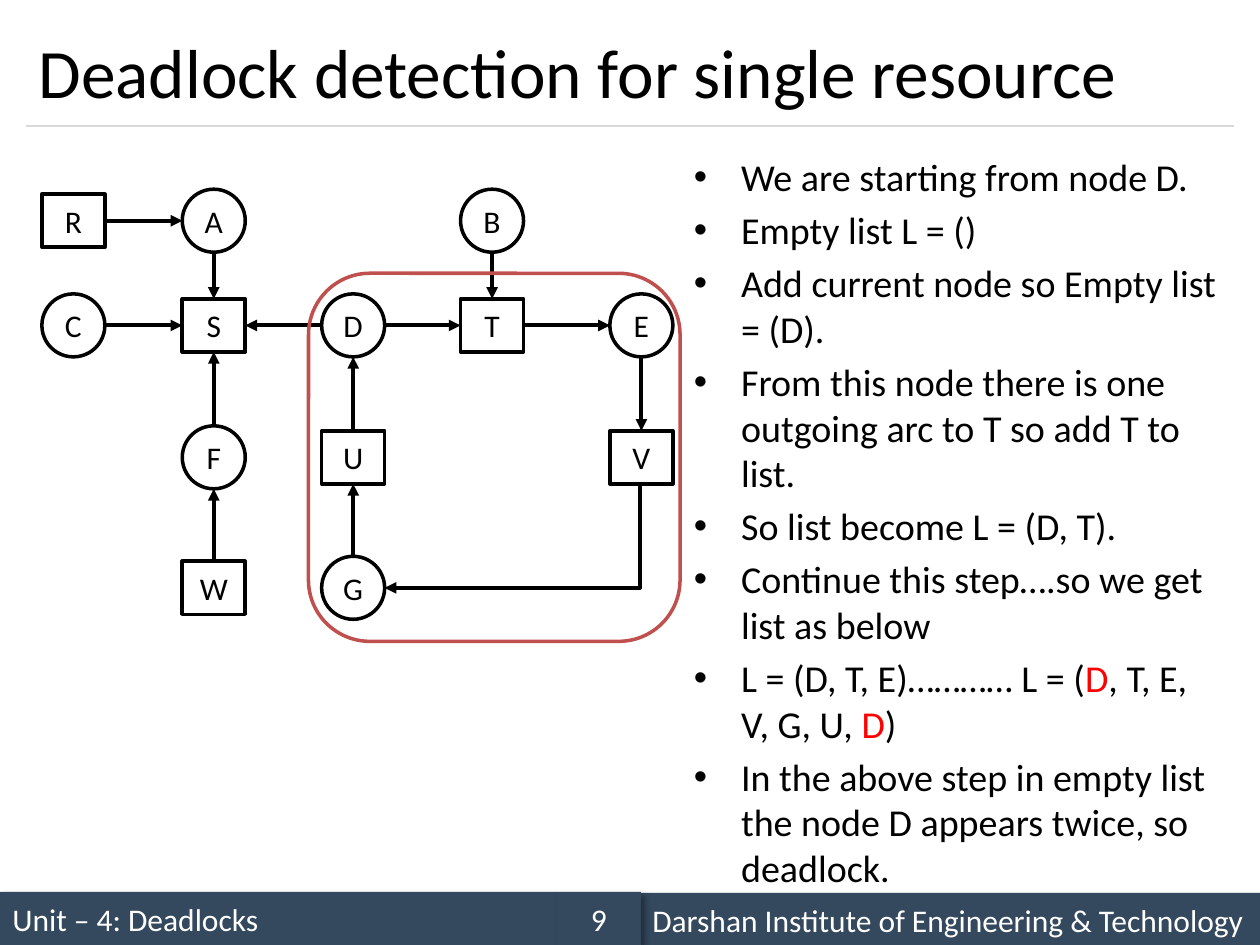
from lxml import etree
from pptx import Presentation
from pptx import util as u
from pptx.dml.color import RGBColor
from pptx.enum import shapes, text
from pptx.oxml import ns

BLACK = RGBColor(0x00, 0x00, 0x00)
WHITE = RGBColor(0xFF, 0xFF, 0xFF)
NAVY = RGBColor(0x34, 0x49, 0x5E)
GREY = RGBColor(0xD9, 0xD9, 0xD9)
RED = RGBColor(0xFF, 0x00, 0x00)
BRICK = RGBColor(0xC0, 0x50, 0x4D)
KIND = shapes.MSO_SHAPE
LINK = shapes.MSO_CONNECTOR
MID = text.MSO_ANCHOR.MIDDLE
CENTER, LEFT = text.PP_ALIGN.CENTER, text.PP_ALIGN.LEFT

deck = Presentation()
deck.slide_width, deck.slide_height = u.Cm(25.4), u.Cm(19.05)
slide = deck.slides.add_slide(deck.slide_layouts[6])
tree = slide.shapes


def write(para, words, size, color):
    run = para.add_run()
    run.text = words
    for key, val in {"name": "Calibri", "size": u.Pt(size)}.items():
        setattr(run.font, key, val)
    run.font.color.rgb = color


def join(kind, start, end, color, width, arrow=True):
    line = tree.add_connector(kind, *(u.Cm(n) for n in start + end))
    line.line.color.rgb, line.line.width = color, u.Pt(width)
    if arrow:
        etree.SubElement(line.line._get_or_add_ln(), ns.qn("a:tailEnd"), type="triangle")
    etree.SubElement(line._element.spPr, ns.qn("a:effectLst"))
    return line


# Footer bar
footer = [
    (0, 17.98, 11.23, LEFT, "Unit – 4: Deadlocks"),
    (12.9, 18, 12.5, LEFT, "Darshan Institute of Engineering & Technology"),
    (11.23, 17.98, 1.69, CENTER, "9"),
]
for x, y, wide, align, words in footer:
    bar = tree.add_shape(KIND.RECTANGLE, u.Cm(x), u.Cm(y), u.Cm(wide), u.Cm(1.07))
    bar.fill.solid()
    bar.fill.fore_color.rgb = NAVY
    bar.line.fill.background()
    bar.shadow.inherit = False
    glow = etree.SubElement(bar._element.spPr.find(ns.qn("a:effectLst")), ns.qn("a:outerShdw"),
                            blurRad=str(u.Pt(4)), dist=str(u.Pt(3)), dir="2700000",
                            algn="tl", rotWithShape="0")
    tint = etree.SubElement(glow, ns.qn("a:srgbClr"), val="000000")
    etree.SubElement(tint, ns.qn("a:alpha"), val="40000")
    frame = bar.text_frame
    frame.vertical_anchor = MID
    frame.paragraphs[0].alignment = align
    write(frame.paragraphs[0], words, 18, WHITE)

# Title and rule
join(LINK.STRAIGHT, (0.53, 2.54), (24.87, 2.54), GREY, 0.75, False)
head = tree.add_textbox(u.Cm(0.53), u.Cm(0.3), u.Cm(24.34), u.Cm(2.24)).text_frame
for key, val in {"word_wrap": True, "vertical_anchor": MID}.items():
    setattr(head, key, val)
write(head.paragraphs[0], "Deadlock detection for single resource", 39.6, BLACK)

# Bulleted steps
steps = [
    ["We are starting from node D."],
    ["Empty list L = ()"],
    ["Add current node so Empty list = (D)."],
    ["From this node there is one outgoing arc to T so add T to list."],
    ["So list become L = (D, T)."],
    ["Continue this step….so we get list as below"],
    ["L = (D, T, E)………… L = (", "D", ", T, E, V, G, U, ", "D", ")"],
    ["In the above step in empty list the node D appears twice, so deadlock."],
]
body = tree.add_textbox(u.Cm(13.74), u.Cm(2.97), u.Cm(11.15), u.Cm(14.05)).text_frame
body.word_wrap = True
for i, parts in enumerate(steps):
    para = body.add_paragraph() if i else body.paragraphs[0]
    props = para._p.get_or_add_pPr()
    for key, val in {"marL": u.Cm(0.95), "indent": -u.Cm(0.95)}.items():
        props.set(key, str(val))
    etree.SubElement(props, ns.qn("a:buFont"), typeface="Arial")
    etree.SubElement(props, ns.qn("a:buChar"), char="•")
    para.space_before = u.Pt(4.3 if i else 0)
    for j, words in enumerate(parts):
        write(para, words, 21.7, RED if j % 2 else BLACK)

# Graph nodes on a grid: circles are processes, boxes are resources
cols = [1.48, 4.31, 7.12, 9.92, 12.93]
rows = [4.45, 6.56, 9.22, 11.85]
grid = ["RA.B.", "CSDTE", ".FU.V", ".WG.."]
wide, tall = 1.27, 1.07
nodes = {}
for y, names in zip(rows, grid):
    for x, name in zip(cols, names):
        if name == ".":
            continue
        ring = name in "ABCDEFG"
        high = wide if ring else tall
        nodes[name] = (x, y, high / 2)
        node = tree.add_shape(KIND.OVAL if ring else KIND.RECTANGLE, u.Cm(x - wide / 2),
                              u.Cm(y - high / 2), u.Cm(wide), u.Cm(high))
        node.fill.solid()
        node.fill.fore_color.rgb = WHITE
        node.line.color.rgb, node.line.width = BLACK, u.Pt(2)
        node.shadow.inherit = False
        for key, val in {"vertical_anchor": MID, "word_wrap": False}.items():
            setattr(node.text_frame, key, val)
        para = node.text_frame.paragraphs[0]
        para.alignment = CENTER
        write(para, name, 18, BLACK)

# Straight arcs run from edge to edge
for a, b in ["RA", "CS", "DT", "TE", "DS", "BT", "EV", "AS", "UD", "FS", "GU", "WF"]:
    (ax, ay, ah), (bx, by, bh) = nodes[a], nodes[b]
    if ay == by:
        way = 1 if bx > ax else -1
        ends = (ax + way * wide / 2, ay), (bx - way * wide / 2, by)
    else:
        way = 1 if by > ay else -1
        ends = (ax, ay + way * ah), (bx, by - way * bh)
    join(LINK.STRAIGHT, *ends, BLACK, 2.25)

# Bent arc from V to G
(vx, vy, vh), (gx, gy, gh) = nodes["V"], nodes["G"]
bend = join(LINK.ELBOW, (vx, vy + vh), (gx + gh, gy), BLACK, 2.25)
geom = bend._element.spPr.find(ns.qn("a:prstGeom"))
etree.SubElement(geom.find(ns.qn("a:avLst")), ns.qn("a:gd"), name="adj1", fmla="val 600")

# Outline around the cycle
loop = tree.add_shape(KIND.ROUNDED_RECTANGLE, u.Cm(6.22), u.Cm(5.51), u.Cm(7.49), u.Cm(7.42))
loop.fill.background()
loop.line.color.rgb, loop.line.width = BRICK, u.Pt(2)
loop.shadow.inherit = False

deck.save("out.pptx")
